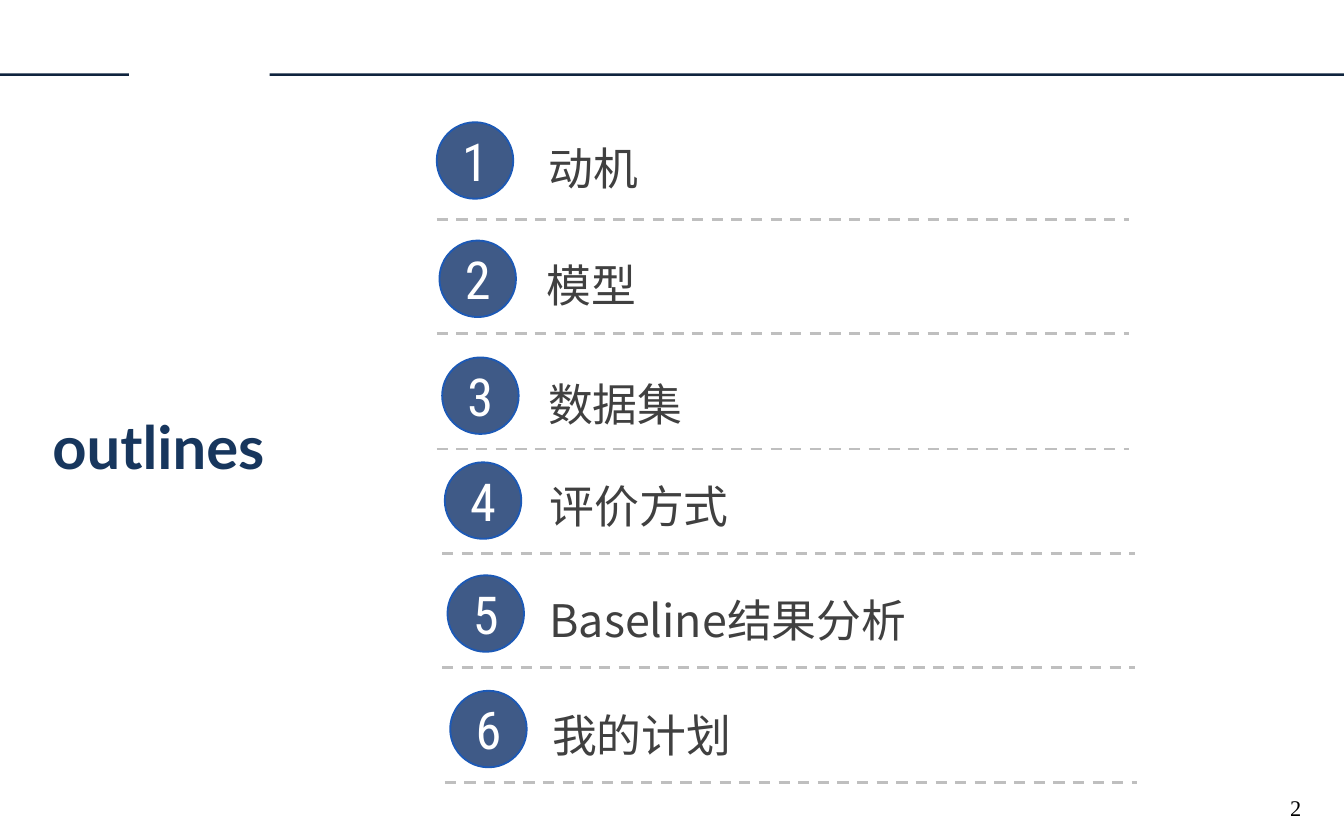
from lxml.etree import SubElement
from pptx import Presentation
from pptx.dml.color import RGBColor
from pptx.enum.dml import MSO_LINE
from pptx.enum.shapes import MSO_CONNECTOR as CONNECTOR, MSO_SHAPE as SHAPE
from pptx.enum.text import MSO_ANCHOR as ANCHOR, MSO_AUTO_SIZE as AUTO_SIZE, PP_ALIGN as ALIGN
from pptx.oxml.ns import qn
from pptx.util import Pt

NAVY = RGBColor(0x0F, 0x24, 0x3E)
TITLE_BLUE = RGBColor(0x17, 0x36, 0x5D)
BADGE_FILL = RGBColor(0x3F, 0x5A, 0x87)
BADGE_LINE = RGBColor(0x1C, 0x59, 0xB6)
DARK_GREY = RGBColor(0x40, 0x40, 0x40)
LIGHT_GREY = RGBColor(0xBF, 0xBF, 0xBF)
WHITE = RGBColor(0xFF, 0xFF, 0xFF)
BLACK = RGBColor(0, 0, 0)

BADGE_LEFT, BADGE_STEP, BADGE_SIZE = 234, 1.44, 41
LABEL_HEIGHT = 36.7
DIVIDER_WIDTH = 371

# label, label left, label top, label width, badge top, divider left, divider top
AGENDA = [
    ("动机", 286.6, 72, 342, 65.5, 234, 117.4),
    ("模型", 285.8, 134.6, 264, 128.9, 234, 178.6),
    ("数据集", 286.6, 198, 221, 191.5, 234, 240.5),
    ("评价方式", 287.3, 252.7, 221, 247.7, 236.9, 296.6),
    ("Baseline结果分析", 287.3, 313.9, 221, 308.2, 236.9, 357.8),
    ("我的计划", 288.7, 375.8, 221, 370.1, 238.3, 419),
]


class AgendaSlide:
    def __init__(self, slide):
        self.slide = slide

    def fill_text(self, shape, text, size, font_name, color, bold=False):
        frame = shape.text_frame
        frame.text = text
        paragraph = frame.paragraphs[0]
        for run in paragraph.runs:
            run.font.size = Pt(size)
            run.font.name = font_name
            run.font.bold = bold
            run.font.color.rgb = color
            SubElement(run.font._element, qn("a:ea"), typeface=font_name)
        return paragraph

    def title(self, text, left, top, width, height):
        shape = self.slide.shapes.title
        shape.left, shape.top, shape.width, shape.height = map(Pt, (left, top, width, height))
        frame = shape.text_frame
        frame.auto_size = AUTO_SIZE.NONE
        frame.vertical_anchor = ANCHOR.TOP
        self.fill_text(shape, text, 32, "Lato", TITLE_BLUE, True).alignment = ALIGN.LEFT

    def text(self, text, left, top, width, height, size, font_name, color):
        shape = self.slide.shapes.add_textbox(Pt(left), Pt(top), Pt(width), Pt(height))
        shape.text_frame.word_wrap = True
        return self.fill_text(shape, text, size, font_name, color)

    def shape(self, kind, left, top, width, height, fill):
        shape = self.slide.shapes.add_shape(kind, Pt(left), Pt(top), Pt(width), Pt(height))
        shape.shadow.inherit = False
        shape.fill.solid()
        shape.fill.fore_color.rgb = fill
        shape.line.fill.background()
        return shape

    def badge(self, text, left, top):
        badge = self.shape(SHAPE.OVAL, left, top, BADGE_SIZE, BADGE_SIZE, BADGE_FILL)
        badge.line.color.rgb = BADGE_LINE
        badge.line.width = Pt(1)
        frame = badge.text_frame
        frame.margin_left = frame.margin_right = frame.margin_top = frame.margin_bottom = 0
        frame.vertical_anchor = ANCHOR.MIDDLE
        frame.word_wrap = False
        self.fill_text(badge, text, 28, "Roboto Condensed", WHITE).alignment = ALIGN.CENTER

    def divider(self, left, top):
        line = self.slide.shapes.add_connector(
            CONNECTOR.STRAIGHT, Pt(left), Pt(top), Pt(left + DIVIDER_WIDTH), Pt(top))
        line.line.color.rgb = LIGHT_GREY
        line.line.width = Pt(1.5)
        line.line.dash_style = MSO_LINE.DASH
        SubElement(line._element.spPr, qn("a:effectLst"))


def main():
    presentation = Presentation()
    presentation.slide_width, presentation.slide_height = Pt(720), Pt(450)
    agenda = AgendaSlide(presentation.slides.add_slide(presentation.slide_layouts[5]))

    for left, width in ((144.5, 575.5), (0, 69.1)):
        agenda.shape(SHAPE.RECTANGLE, left, 39.3, width, 1.4, NAVY)
    agenda.title("outlines", 20.9, 216, 175.7, 46)

    for index, row in enumerate(AGENDA):
        label, label_left, label_top, label_width, badge_top, divider_left, divider_top = row
        agenda.text(label, label_left, label_top, label_width, LABEL_HEIGHT,
                    24, "Noto Sans CJK SC", DARK_GREY)
        agenda.badge(str(index + 1), BADGE_LEFT + BADGE_STEP * index, badge_top)
        agenda.divider(divider_left, divider_top)

    page_number = agenda.text("2", 684, 414.7, 22.3, 26.6, 12, "Times New Roman", BLACK)
    page_number.line_spacing = 1.5
    presentation.save("out.pptx")


if __name__ == "__main__":
    main()
